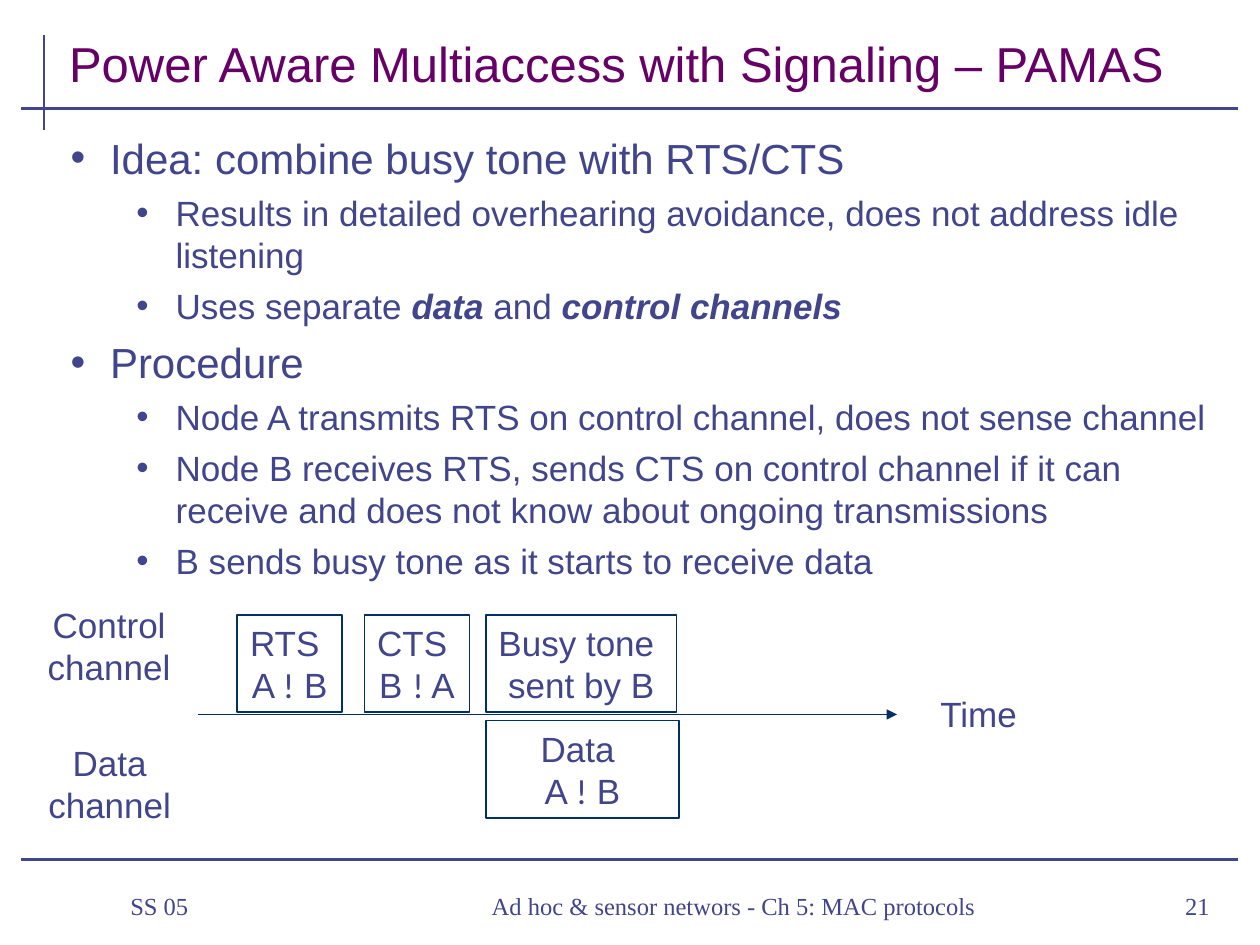
import pptx
import pptx.dml.color
import pptx.enum.shapes
import pptx.enum.text
import pptx.oxml.ns
import pptx.util
from lxml import etree

Pt = pptx.util.Pt
qn = pptx.oxml.ns.qn
ALIGN = pptx.enum.text.PP_ALIGN
ANCHOR = pptx.enum.text.MSO_ANCHOR

INK, NAVY, PURPLE = "40458C", "003065", "660066"

BULLETS = [
    (0, ["Idea: combine busy tone with RTS/CTS"]),
    (1, ["Results in detailed overhearing avoidance, does not address idle listening"]),
    (1, ["Uses separate ", "*data ", "and ", "*control channels"]),
    (0, ["Procedure"]),
    (1, ["Node A transmits RTS on control channel, does not sense channel"]),
    (1, ["Node B receives RTS, sends CTS on control channel if it can "
         "receive and does not know about ongoing transmissions"]),
    (1, ["B sends busy tone as it starts to receive data"]),
]
# Per level: text size, left margin, space before
LEVELS = [(24, 22.5, 6), (20, 60, 5)]
HANG = 22.5


def rgb(value):
    return pptx.dml.color.RGBColor.from_string(value)


def add_run(p, text, size, font="Arial", color=INK, emphasis=None):
    r = p.add_run()
    r.text = text
    r.font.size, r.font.name = Pt(size), font
    r.font.color.rgb = rgb(color)
    r.font.bold = r.font.italic = emphasis


def add_textbox(s, x, y, w, h, anchor=ANCHOR.TOP, wrap=True):
    tf = s.shapes.add_textbox(Pt(x), Pt(y), Pt(w), Pt(h)).text_frame
    tf.word_wrap, tf.vertical_anchor = wrap, anchor
    return tf


def add_line(s, x1, y1, x2, y2, color=INK, width=1.5, arrow=False):
    line = s.shapes.add_connector(pptx.enum.shapes.MSO_CONNECTOR.STRAIGHT,
                                  Pt(x1), Pt(y1), Pt(x2), Pt(y2))
    line.line.color.rgb, line.line.width = rgb(color), Pt(width)
    if arrow:
        etree.SubElement(line.line._get_or_add_ln(), qn("a:tailEnd"), type="triangle")
    etree.SubElement(line._element.spPr, qn("a:effectLst"))


def write_lines(tf, lines):
    """Centred lines in one paragraph; the exclamation mark has its own font."""
    p = tf.paragraphs[0]
    p.alignment = ALIGN.CENTER
    for i, line in enumerate(lines):
        if i:
            p.add_line_break()
        before, mark, after = line.partition("!")
        add_run(p, before, 20)
        if mark:
            add_run(p, mark, 20, "Calibri")
            add_run(p, after, 20)


def add_label(s, x, y, w, h, *lines):
    tf = add_textbox(s, x, y, w, h, wrap=False)
    tf.margin_left = tf.margin_right = 0  # room for the widest word
    write_lines(tf, lines)


def add_packet(s, x, y, w, *lines):
    sp = s.shapes.add_shape(pptx.enum.shapes.MSO_SHAPE.RECTANGLE,
                            Pt(x), Pt(y), Pt(w), Pt(55.5))
    sp.shadow.inherit = False
    sp.fill.background()
    sp.line.color.rgb, sp.line.width = rgb(NAVY), Pt(1)
    tf = sp.text_frame
    tf.word_wrap, tf.vertical_anchor = False, ANCHOR.MIDDLE
    write_lines(tf, lines)


def add_bullets(s, x, y, w, h):
    tf = add_textbox(s, x, y, w, h)
    for i, (level, parts) in enumerate(BULLETS):
        p = tf.add_paragraph() if i else tf.paragraphs[0]
        size, margin, before = LEVELS[level]
        p.level = level
        p.space_before = Pt(before if i else 0)
        pPr = p._p.get_or_add_pPr()
        pPr.set("marL", str(Pt(margin)))
        pPr.set("indent", str(-Pt(HANG)))
        color = etree.SubElement(pPr, qn("a:buClr"))
        etree.SubElement(color, qn("a:srgbClr"), val=INK)
        etree.SubElement(pPr, qn("a:buFont"), typeface="Arial")
        etree.SubElement(pPr, qn("a:buChar"), char="•")
        for part in parts:  # a leading star marks emphasis
            add_run(p, part.lstrip("*"), size, emphasis=part.startswith("*"))


def add_footer(s, x, w, text, align):
    p = add_textbox(s, x, 499, w, 37.5, ANCHOR.MIDDLE).paragraphs[0]
    p.alignment = align
    p._p.get_or_add_pPr().set("marL", str(Pt(17)))
    add_run(p, text, 14, "Times New Roman")


def main():
    prs = pptx.Presentation()
    prs.slide_width, prs.slide_height = Pt(720), Pt(540)
    s = prs.slides.add_slide(prs.slide_layouts[6])

    # Frame rules
    add_line(s, 25.2, 20.2, 25.2, 74.2)
    for y in (61.9, 491):
        add_line(s, 12.3, y, 707.7, y)

    # Title and body
    tf = add_textbox(s, 32.4, 11.5, 672, 44.6, ANCHOR.BOTTOM)
    add_run(tf.paragraphs[0], "Power Aware Multiaccess with Signaling – PAMAS",
            28, color=PURPLE)
    add_bullets(s, 33.3, 72, 668, 409)

    # Time axis and channel labels
    add_line(s, 113, 408.3, 512.6, 408.3, NAVY, 1, arrow=True)
    add_label(s, 530, 392.4, 64, 31.5, "Time ")
    add_label(s, 20.3, 341.3, 84.2, 55.5, "Control", "channel")
    add_label(s, 20.6, 420.3, 84.2, 55.5, "Data", "channel")

    # Packets above and below the axis
    control_y, data_y = 351.4, 411.8
    add_packet(s, 135.5, control_y, 60, "RTS ", "A ! B")
    add_packet(s, 208.3, control_y, 60, "CTS ", "B ! A")
    add_packet(s, 277.8, data_y, 110.2, "Data ", "A ! B")
    add_packet(s, 277.8, control_y, 108.8, "Busy tone ", "sent by B")

    # Footer
    add_footer(s, 50.4, 125, "SS 05", ALIGN.LEFT)
    add_footer(s, 187.2, 447, "Ad hoc & sensor networs - Ch 5: MAC protocols", ALIGN.CENTER)
    add_footer(s, 645.8, 52.6, "21", ALIGN.RIGHT)

    prs.save("out.pptx")


if __name__ == "__main__":
    main()
